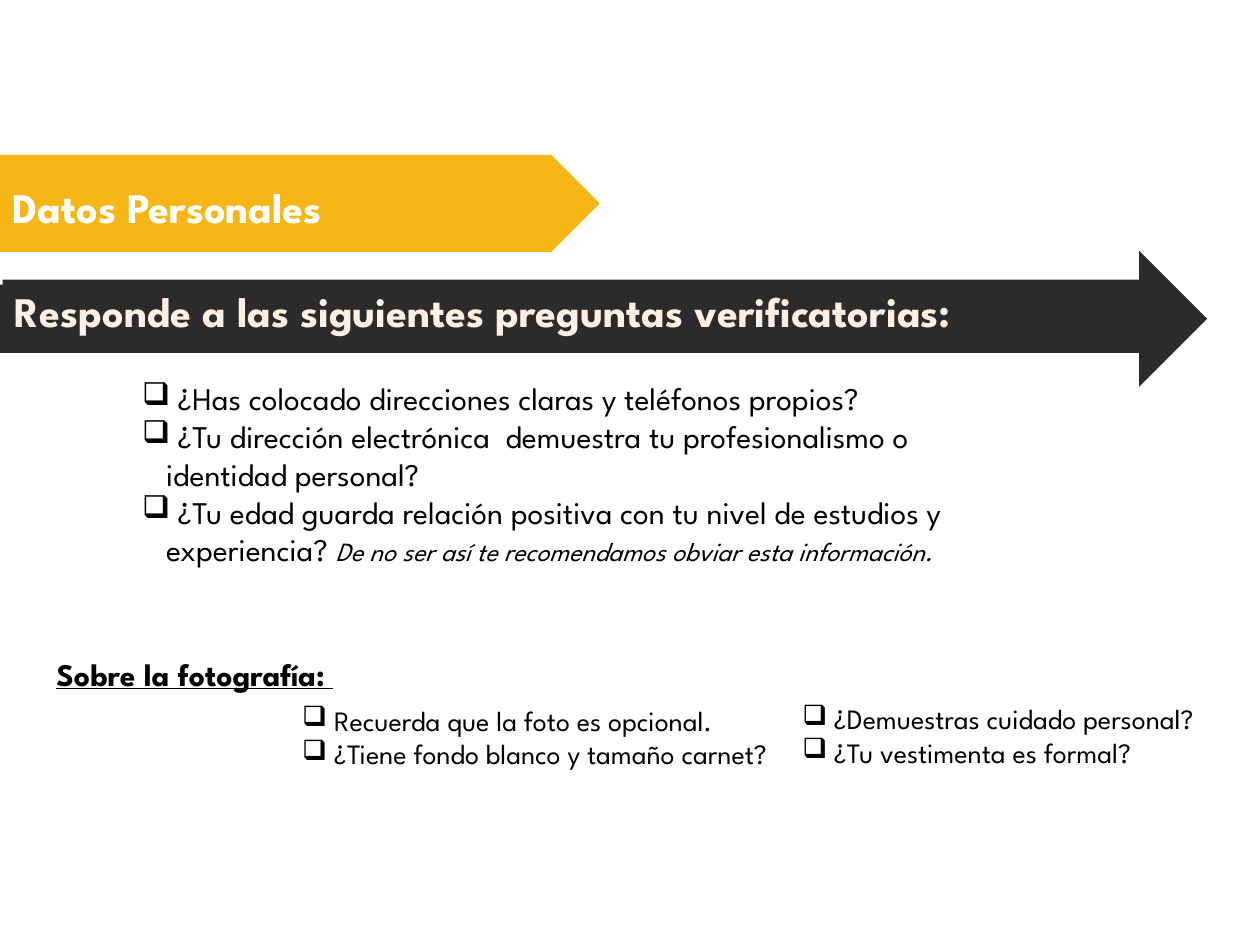
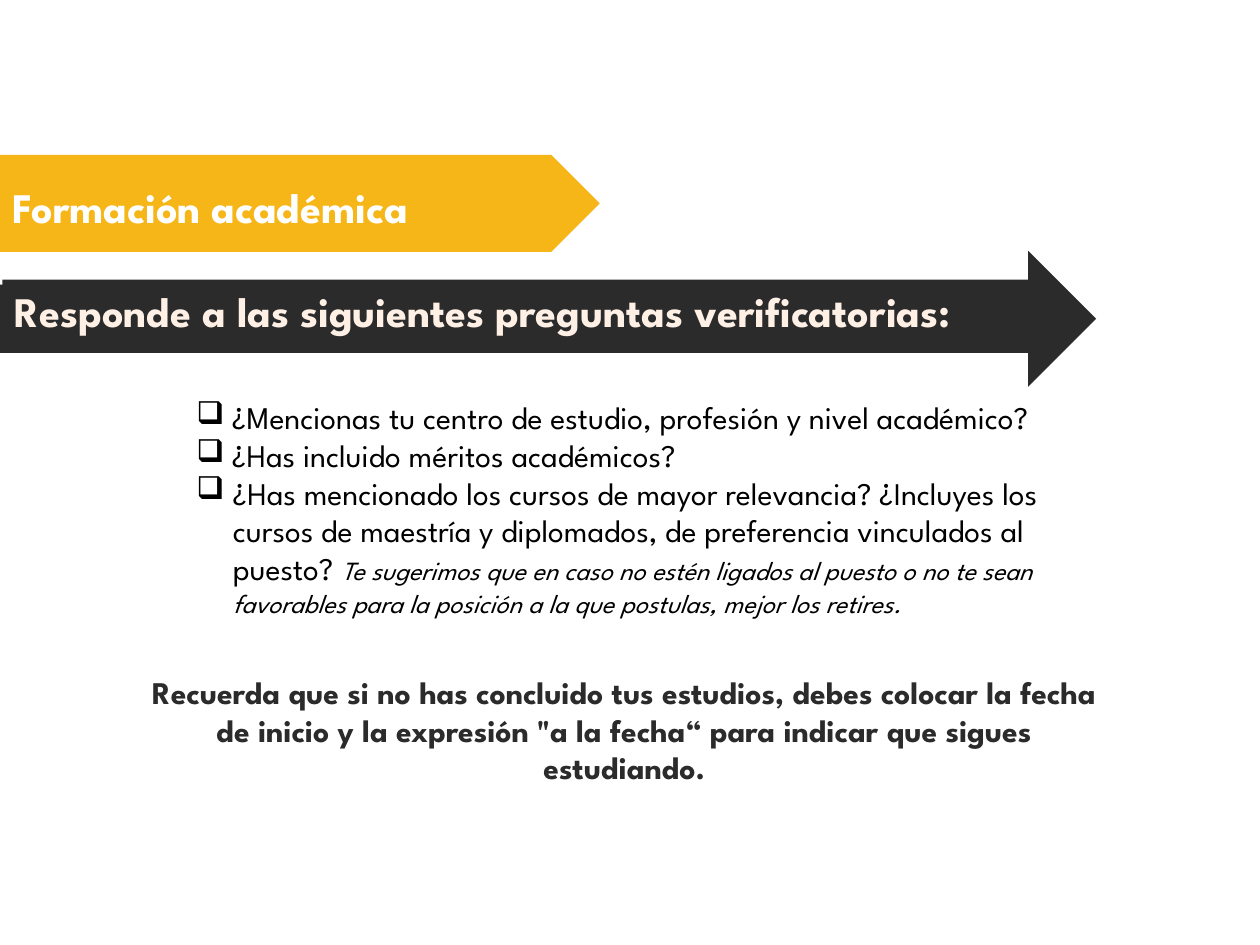
from dataclasses import dataclass

from lxml.etree import SubElement
from pptx import Presentation
from pptx.dml.color import RGBColor
from pptx.enum.shapes import MSO_SHAPE as Shape
from pptx.enum.text import MSO_ANCHOR as Anchor, PP_ALIGN as Align
from pptx.oxml.ns import qn
from pptx.util import Inches, Pt

COLUMNS, ROWS = 100, 75
WIDTH, HEIGHT = Inches(10), Inches(7.5)


@dataclass(frozen=True)
class Theme:
    """Colours, font and type sizes shared by the slides."""
    font: str = "League Spartan"
    yellow: str = "F7B617"
    charcoal: str = "2B2B2B"
    cream: str = "FFF0E6"
    white: str = "FFFFFF"
    black: str = "000000"
    title: int = 24
    body: int = 18
    detail: int = 16
    aside: int = 15


THEME = Theme()


def across(columns):
    """Length of a number of grid columns."""
    return round(WIDTH * columns / COLUMNS)


def down(rows):
    """Length of a number of grid rows."""
    return round(HEIGHT * rows / ROWS)


def place(left, top, width, height):
    """Grid box as slide lengths."""
    return across(left), down(top), across(width), down(height)


def style(paragraph, size, color, bold=False, align=Align.LEFT):
    """Set the font and alignment of a whole paragraph."""
    font = paragraph.font
    font.name, font.size, font.bold = THEME.font, Pt(size), bold
    font.color.rgb = RGBColor.from_string(color)
    paragraph.alignment = align


def add_band(slide, kind, box, color):
    """Draw a flat filled shape without outline."""
    band = slide.shapes.add_shape(kind, *place(*box))
    band.shadow.inherit = False
    band.fill.solid()
    band.fill.fore_color.rgb = RGBColor.from_string(color)
    band.line.fill.background()
    return band


def write_title(band, words, color, anchor):
    """Write a bold left-aligned title on a band."""
    band.text_frame.word_wrap = True
    band.text_frame.vertical_anchor = anchor
    title = band.text_frame.paragraphs[0]
    title.text = words
    style(title, THEME.title, color, bold=True)


def add_header(slide, section, arrow_width, arrow_height=10.8):
    """Draw the section tag and the arrow with the shared instruction."""
    tag = add_band(slide, Shape.PENTAGON, (0, 12.3, 47.6, 7.7), THEME.yellow)
    tag.text_frame.margin_top = down(1)
    write_title(tag, section, THEME.white, Anchor.MIDDLE)
    half = arrow_height / 2
    add_band(slide, Shape.RIGHT_ARROW, (0, 19.9, arrow_width, arrow_height), THEME.charcoal)
    strip = add_band(slide, Shape.RECTANGLE, (0.2, 22.2, arrow_width - half - 0.2, half), THEME.charcoal)
    write_title(strip, "Responde a las siguientes preguntas verificatorias:", THEME.cream, Anchor.TOP)


def add_text_area(slide, box):
    """Add an empty wrapping text box and return its frame."""
    frame = slide.shapes.add_textbox(*place(*box)).text_frame
    frame.word_wrap = True
    return frame


def next_paragraph(frame):
    """Return the unused first paragraph or a new one."""
    first = frame.paragraphs[0]
    return frame.add_paragraph() if first.runs else first


def indent(paragraph, margin, hanging):
    """Set a hanging indent in grid columns."""
    properties = paragraph._p.get_or_add_pPr()
    properties.set("marL", str(across(margin)))
    properties.set("indent", str(-across(hanging)))
    return properties


def add_check(frame, question, size, margin=1.9, hanging=1.9, aside=None):
    """Add a question with a check box and an optional italic aside."""
    check = next_paragraph(frame)
    properties = indent(check, margin, hanging)
    tint = SubElement(properties, qn("a:buClr"))
    SubElement(tint, qn("a:srgbClr")).set("val", THEME.black)
    SubElement(properties, qn("a:buChar")).set("char", "❑")
    style(check, size, THEME.black)
    check.add_run().text = question
    if aside:
        advice = check.add_run()
        advice.text = aside
        advice.font.size, advice.font.italic = Pt(THEME.aside), True


def build_personal_data(slide):
    """Slide on personal data and the photograph."""
    add_header(slide, "Datos Personales", 95.8)
    questions = add_text_area(slide, (10.3, 29.6, 66.9, 16.2))
    add_check(questions, " ¿Has colocado direcciones claras y teléfonos propios?", THEME.body)
    add_check(questions, " ¿Tu dirección electrónica  demuestra tu profesionalismo o identidad personal?", THEME.body)
    add_check(questions, " ¿Tu edad guarda relación positiva con tu nivel de estudios y experiencia? ",
              THEME.body, aside="De no ser así te recomendamos obviar esta información.")

    photo = add_text_area(slide, (3.5, 51.5, 60.6, 10.3))
    heading = next_paragraph(photo)
    indent(heading, 1.9, 1.9)
    heading.add_run().text = "Sobre la fotografía: "
    style(heading, THEME.body, THEME.black, bold=True)
    heading.font.underline = True
    heading.space_after = Pt(6)
    for tip in (" Recuerda que la foto es opcional.", " ¿Tiene fondo blanco y tamaño carnet?"):
        add_check(photo, tip, THEME.detail, margin=21.5, hanging=2)

    appearance = add_text_area(slide, (62.7, 55.2, 39, 6.4))
    for question in (" ¿Demuestras cuidado personal?", " ¿Tu vestimenta es formal?"):
        add_check(appearance, question, THEME.detail)


def build_education(slide):
    """Slide on academic background."""
    add_header(slide, "Formación académica", 87)
    questions = add_text_area(slide, (14.6, 31.1, 70.1, 18.7))
    add_check(questions, " ¿Mencionas tu centro de estudio, profesión y nivel académico?", THEME.body)
    add_check(questions, " ¿Has incluido méritos académicos?", THEME.body)
    add_check(questions, "¿Has mencionado los cursos de mayor relevancia? ¿Incluyes los cursos de maestría "
              "y diplomados, de preferencia vinculados al puesto? ", THEME.body, margin=2.9, hanging=2.9,
              aside="Te sugerimos que en caso no estén ligados al puesto o no te sean favorables "
              "para la posición a la que postulas, mejor los retires.")

    reminder = next_paragraph(add_text_area(slide, (9.8, 52.9, 79.5, 6.4)))
    reminder.text = ("Recuerda que si no has concluido tus estudios, debes colocar la fecha de inicio "
                     "y la expresión \"a la fecha“ para indicar que sigues estudiando.")
    style(reminder, THEME.body, THEME.charcoal, bold=True, align=Align.CENTER)


def main():
    """Build both slides and save the presentation."""
    deck = Presentation()
    deck.slide_width, deck.slide_height = WIDTH, HEIGHT
    for build in (build_personal_data, build_education):
        build(deck.slides.add_slide(deck.slide_layouts[6]))
    deck.save("out.pptx")


if __name__ == "__main__":
    main()
